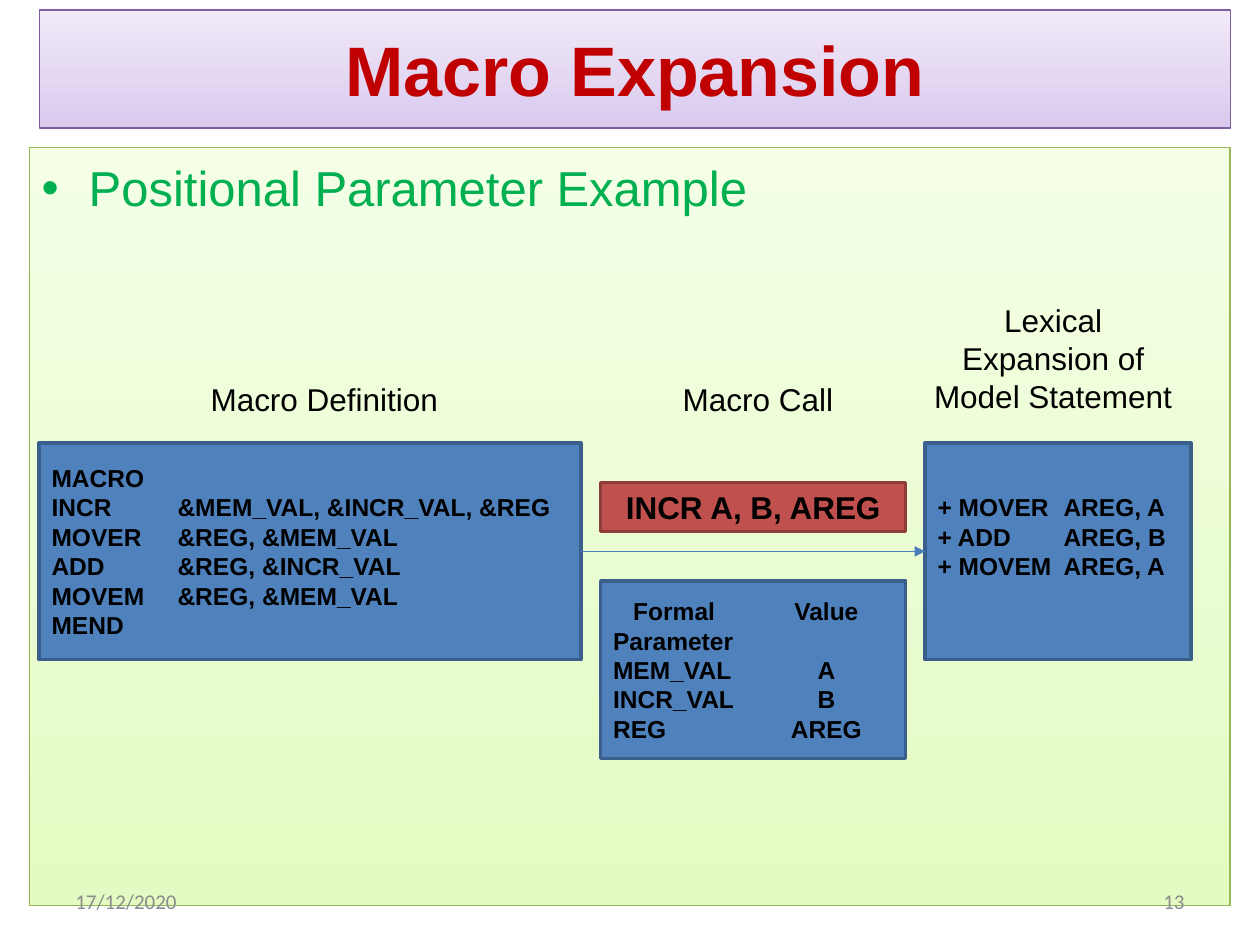
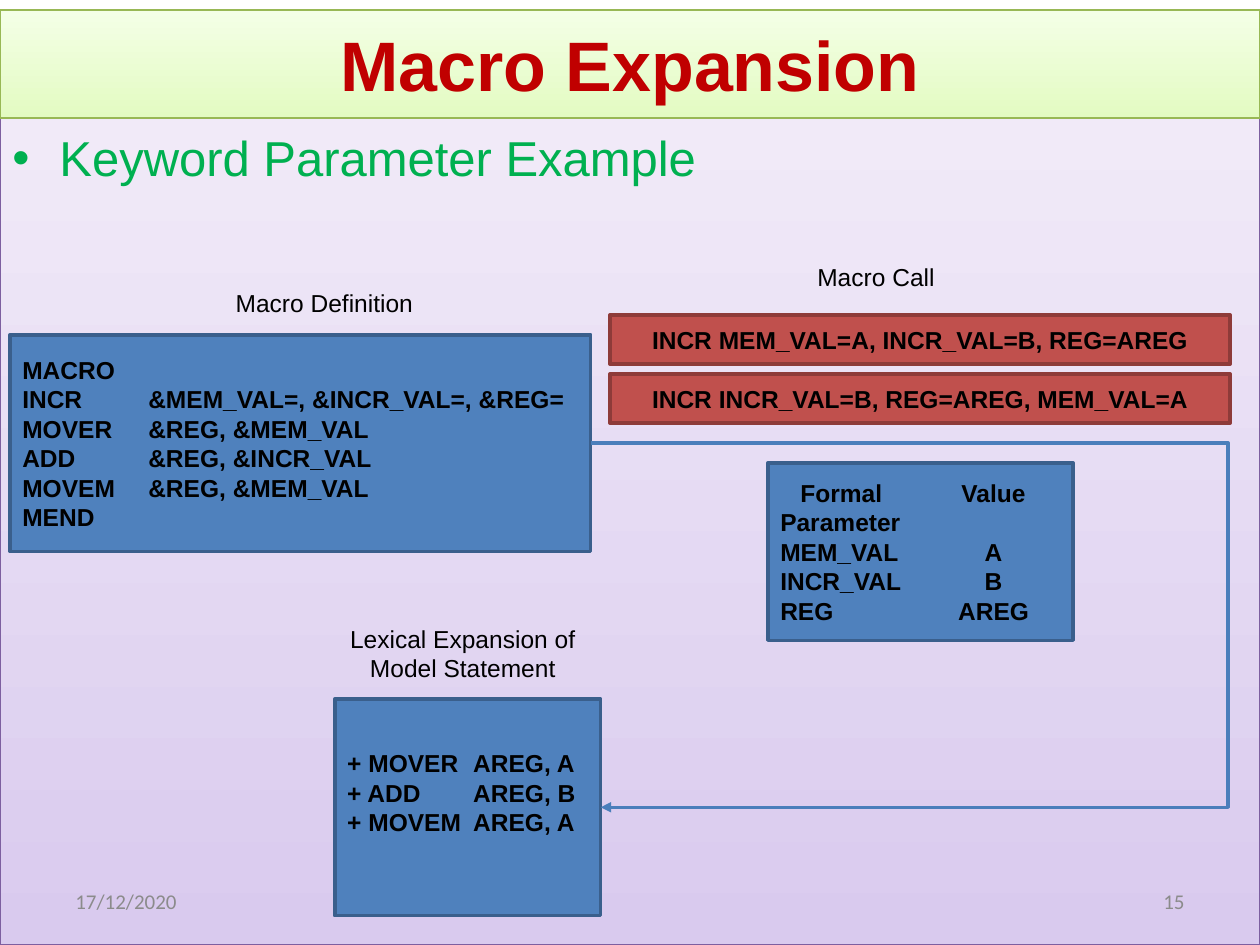
from dataclasses import dataclass
from typing import Optional

from lxml.etree import SubElement
from pptx import Presentation
from pptx.dml.color import RGBColor
from pptx.enum.shapes import MSO_CONNECTOR, MSO_SHAPE
from pptx.enum.text import MSO_ANCHOR, PP_ALIGN
from pptx.oxml.ns import qn
from pptx.util import Cm, Pt

BLACK = RGBColor(0x00, 0x00, 0x00)
TITLE_RED = RGBColor(0xC0, 0x00, 0x00)
TOPIC_GREEN = RGBColor(0x00, 0xB0, 0x50)
FOOTER_GREY = RGBColor(0x8B, 0x8B, 0x8B)
ARROW_BLUE = RGBColor(0x4A, 0x7E, 0xBB)
TITLE_ONLY = 5


@dataclass(frozen=True)
class Place:
    left: float
    top: float
    width: float
    height: float

    def lengths(self) -> tuple:
        return Cm(self.left), Cm(self.top), Cm(self.width), Cm(self.height)

    @property
    def right(self) -> float:
        return self.left + self.width

    @property
    def middle(self) -> float:
        return self.top + self.height / 2


@dataclass(frozen=True)
class Gradient:
    bottom: RGBColor
    top: RGBColor
    outline: RGBColor


@dataclass(frozen=True)
class BoxStyle:
    fill: RGBColor
    outline: RGBColor
    align: PP_ALIGN


@dataclass(frozen=True)
class Label:
    text: str
    place: Place


@dataclass(frozen=True)
class Arrow:
    start: tuple
    end: tuple
    width: float
    bend: Optional[float] = None


@dataclass(frozen=True)
class Example:
    topic: str
    number: str
    title_place: Place
    title_colours: Gradient
    body_place: Place
    body_colours: Gradient
    parameters: str
    definition: Place
    expansion: Place
    binding: Place
    calls: tuple
    call_size: float
    labels: tuple
    label_size: float
    arrow: Arrow


PURPLE = Gradient(RGBColor(0xD9, 0xCA, 0xEE), RGBColor(0xF1, 0xEA, 0xF8),
                  RGBColor(0x7D, 0x5F, 0xA0))
LIME = Gradient(RGBColor(0xE3, 0xFB, 0xC2), RGBColor(0xF4, 0xFF, 0xE6),
                RGBColor(0x98, 0xB8, 0x55))
CODE = BoxStyle(RGBColor(0x4F, 0x81, 0xBD), RGBColor(0x3A, 0x5F, 0x8C), PP_ALIGN.LEFT)
CALL = BoxStyle(RGBColor(0xC0, 0x50, 0x4D), RGBColor(0x8E, 0x3B, 0x39), PP_ALIGN.CENTER)

CODE_TABS = ((2.54, "l"),)
VALUE_TABS = ((4.3, "ctr"),)
HEADING_TABS = ((1.23, "ctr"),) + VALUE_TABS

EXPANSION_LINES = ("+ MOVER\tAREG, A", "+ ADD\tAREG, B", "+ MOVEM\tAREG, A")
BINDING_LINES = ("\tFormal\tValue", "Parameter", "MEM_VAL\tA", "INCR_VAL\tB", "REG\tAREG")


def definition_lines(parameters: str) -> tuple:
    return ("MACRO", f"INCR\t{parameters}", "MOVER\t&REG, &MEM_VAL",
            "ADD\t&REG, &INCR_VAL", "MOVEM\t&REG, &MEM_VAL", "MEND")


def format_text(frame, size: float, colour: RGBColor, align=PP_ALIGN.LEFT,
                bold: bool = False, font: str = "Arial") -> None:
    frame.word_wrap = True
    for paragraph in frame.paragraphs:
        paragraph.alignment = align
        for run in paragraph.runs:
            run.font.name = font
            run.font.size = Pt(size)
            run.font.bold = bold
            run.font.color.rgb = colour


def paint_gradient(shape, colours: Gradient) -> None:
    shape.fill.gradient()
    shape.fill.gradient_angle = 90
    for stop, colour in zip(shape.fill.gradient_stops, (colours.bottom, colours.top)):
        stop.color.rgb = colour
    shape.line.color.rgb = colours.outline
    shape.line.width = Pt(0.75)


def add_rectangle(slide, place: Place):
    rectangle = slide.shapes.add_shape(MSO_SHAPE.RECTANGLE, *place.lengths())
    rectangle.shadow.inherit = False
    return rectangle


def add_topic(slide, example: Example) -> None:
    body = add_rectangle(slide, example.body_place)
    paint_gradient(body, example.body_colours)
    frame = body.text_frame
    frame.vertical_anchor = MSO_ANCHOR.TOP
    frame.margin_top = Cm(0.2)
    frame.text = example.topic
    properties = frame.paragraphs[0]._p.get_or_add_pPr()
    properties.set("marL", str(Cm(0.95)))
    properties.set("indent", str(-Cm(0.95)))
    bullet_colour = SubElement(properties, qn("a:buClr"))
    SubElement(bullet_colour, qn("a:srgbClr")).set("val", str(TOPIC_GREEN))
    SubElement(properties, qn("a:buFont")).set("typeface", "Arial")
    SubElement(properties, qn("a:buChar")).set("char", "•")
    format_text(frame, 28, TOPIC_GREEN, PP_ALIGN.JUSTIFY)


def place_title(slide, example: Example) -> None:
    """Fill the title placeholder and bring it in front of the body."""
    title = slide.shapes.title
    title.left, title.top, title.width, title.height = example.title_place.lengths()
    paint_gradient(title, example.title_colours)
    title.text_frame.text = "Macro Expansion"
    title.text_frame.vertical_anchor = MSO_ANCHOR.MIDDLE
    format_text(title.text_frame, 40, TITLE_RED, PP_ALIGN.CENTER, bold=True)
    slide.shapes.element.append(title.element)


def add_box(slide, place: Place, style: BoxStyle, lines: tuple, size: float = 14):
    box = add_rectangle(slide, place)
    box.fill.solid()
    box.fill.fore_color.rgb = style.fill
    box.line.color.rgb = style.outline
    box.line.width = Pt(2)
    box.text_frame.text = "\n".join(lines)
    box.text_frame.vertical_anchor = MSO_ANCHOR.MIDDLE
    format_text(box.text_frame, size, BLACK, style.align, bold=True)
    return box


def set_tabs(paragraph, stops: tuple) -> None:
    tab_list = SubElement(paragraph._p.get_or_add_pPr(), qn("a:tabLst"))
    for position, align in stops:
        tab = SubElement(tab_list, qn("a:tab"))
        tab.set("pos", str(Cm(position)))
        tab.set("algn", align)


def add_code(slide, place: Place, lines: tuple):
    code = add_box(slide, place, CODE, lines)
    for paragraph in code.text_frame.paragraphs:
        set_tabs(paragraph, CODE_TABS)
    return code


def add_binding(slide, place: Place) -> None:
    """Pair each formal parameter with its value."""
    heading, *rows = add_box(slide, place, CODE, BINDING_LINES).text_frame.paragraphs
    set_tabs(heading, HEADING_TABS)
    for row in rows:
        set_tabs(row, VALUE_TABS)


def add_text(slide, label: Label, size: float, colour: RGBColor = BLACK,
             align=PP_ALIGN.CENTER, font: str = "Arial", anchor=MSO_ANCHOR.TOP) -> None:
    frame = slide.shapes.add_textbox(*label.place.lengths()).text_frame
    frame.text = label.text
    frame.vertical_anchor = anchor
    format_text(frame, size, colour, align, font=font)


def add_arrow(slide, arrow: Arrow) -> None:
    kind = MSO_CONNECTOR.STRAIGHT if arrow.bend is None else MSO_CONNECTOR.ELBOW
    ends = [Cm(value) for value in arrow.start + arrow.end]
    connector = slide.shapes.add_connector(kind, *ends)
    connector.line.color.rgb = ARROW_BLUE
    connector.line.width = Pt(arrow.width)
    SubElement(connector.line._get_or_add_ln(), qn("a:tailEnd")).set("type", "triangle")
    SubElement(connector.element.spPr, qn("a:effectLst"))
    if arrow.bend is not None:
        share = (arrow.bend - arrow.start[0]) / (arrow.end[0] - arrow.start[0])
        guide = SubElement(connector.element.find(".//" + qn("a:avLst")), qn("a:gd"))
        guide.set("name", "adj1")
        guide.set("fmla", f"val {round(share * 100000)}")


def add_footer(slide, number: str) -> None:
    for text, left, align in (("17/12/2020", 1.27, PP_ALIGN.LEFT),
                              (number, 18.21, PP_ALIGN.RIGHT)):
        add_text(slide, Label(text, Place(left, 17.65, 5.92, 1.02)), 12, FOOTER_GREY,
                 align, "Calibri", MSO_ANCHOR.MIDDLE)


def add_example(presentation, example: Example) -> None:
    slide = presentation.slides.add_slide(presentation.slide_layouts[TITLE_ONLY])
    add_topic(slide, example)
    place_title(slide, example)
    add_code(slide, example.definition, definition_lines(example.parameters))
    expansion = add_code(slide, example.expansion, EXPANSION_LINES)
    expansion.text_frame.margin_bottom = Cm(0.72)
    for label in example.labels:
        add_text(slide, label, example.label_size)
    for call in example.calls:
        add_box(slide, call.place, CALL, (call.text,), example.call_size)
    add_binding(slide, example.binding)
    add_arrow(slide, example.arrow)
    add_footer(slide, example.number)


def positional_example() -> Example:
    definition = Place(0.79, 8.93, 10.92, 4.37)
    expansion = Place(18.65, 8.93, 5.36, 4.37)
    return Example(
        "Positional Parameter Example", "13",
        Place(0.79, 0.2, 24.01, 2.38), PURPLE,
        Place(0.59, 2.98, 24.21, 15.28), LIME,
        "&MEM_VAL, &INCR_VAL, &REG", definition, expansion,
        binding=Place(12.11, 11.71, 6.15, 3.58),
        calls=(Label("INCR A, B, AREG", Place(12.11, 9.73, 6.15, 0.99)),),
        call_size=18,
        labels=(Label("Macro Definition", Place(3.76, 7.54, 5.56, 1.02)),
                Label("Macro Call", Place(12.5, 7.54, 5.56, 1.02)),
                Label("Lexical Expansion of Model Statement",
                      Place(18.45, 5.95, 5.56, 2.54))),
        label_size=18,
        arrow=Arrow((definition.right, definition.middle),
                    (expansion.left, expansion.middle), 0.75))


def keyword_example() -> Example:
    definition = Place(0.2, 6.75, 11.71, 4.37)
    expansion = Place(6.75, 14.09, 5.36, 4.37)
    calls = ("INCR MEM_VAL=A, INCR_VAL=B, REG=AREG",
             "INCR INCR_VAL=B, REG=AREG, MEM_VAL=A")
    return Example(
        "Keyword Parameter Example", "15",
        Place(0, 0.2, 25.4, 2.18), LIME,
        Place(0, 2.38, 25.4, 16.67), PURPLE,
        "&MEM_VAL=, &INCR_VAL=, &REG=", definition, expansion,
        binding=Place(15.48, 9.33, 6.15, 3.58),
        calls=tuple(Label(text, Place(12.3, 6.35 + 1.19 * row, 12.5, 0.99))
                    for row, text in enumerate(calls)),
        call_size=14,
        labels=(Label("Macro Definition", Place(3.76, 5.69, 5.56, 0.84)),
                Label("Macro Call", Place(14.88, 5.16, 5.56, 0.84)),
                Label("Lexical Expansion of Model Statement",
                      Place(6.55, 12.45, 5.56, 1.42))),
        label_size=14,
        arrow=Arrow((definition.right, definition.middle),
                    (expansion.right, expansion.middle), 2, bend=24.76))


def main() -> None:
    presentation = Presentation()
    presentation.slide_width, presentation.slide_height = Cm(25.4), Cm(19.05)
    for example in (positional_example(), keyword_example()):
        add_example(presentation, example)
    presentation.save("out.pptx")


if __name__ == "__main__":
    main()
